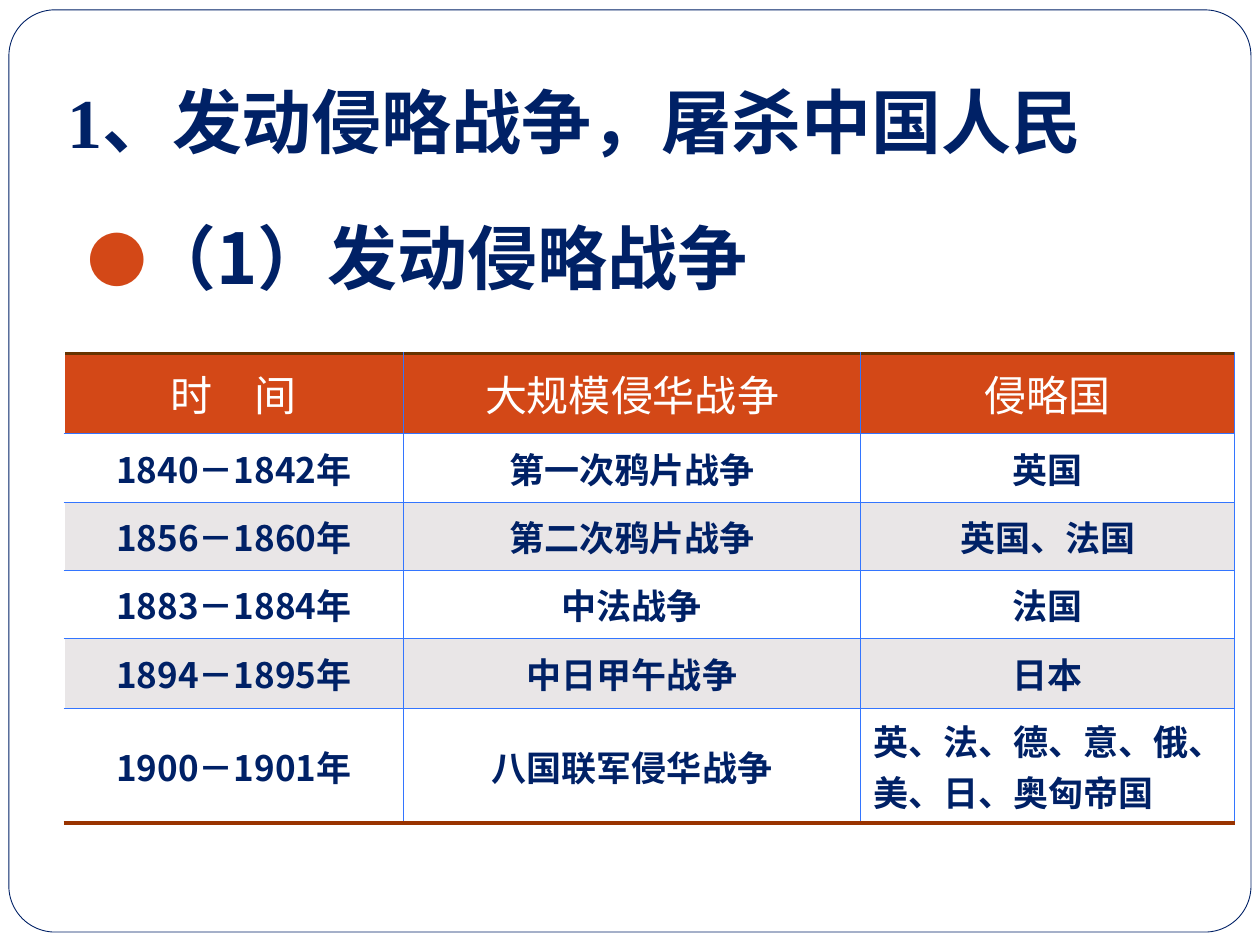
from lxml.etree import SubElement
from pptx import Presentation
from pptx.dml.color import RGBColor
from pptx.enum.shapes import MSO_SHAPE as Preset
from pptx.enum.text import MSO_ANCHOR as Anchor, MSO_AUTO_SIZE as AutoSize, PP_ALIGN as Align
from pptx.oxml.ns import qn
from pptx.util import Cm, Pt

NAVY = RGBColor(0x00, 0x21, 0x66)
WHITE = RGBColor(0xFF, 0xFF, 0xFF)
ORANGE = RGBColor(0xD3, 0x48, 0x17)
BAND = RGBColor(0xE9, 0xE6, 0xE7)
BLUE = RGBColor(0x33, 0x75, 0xFF)
BROWN = RGBColor(0x66, 0x33, 0x00)
RUST = RGBColor(0x99, 0x33, 0x00)

SANS = "Noto Sans CJK JP"
SERIF = "Times New Roman"
HEADING = {"size": Pt(40), "bold": True, "name": SERIF}
POINT = {"size": Pt(40), "bold": True, "name": SANS}
TABLE_HEAD = {"size": Pt(24), "bold": False, "name": SANS}
TABLE_BODY = {"size": Pt(20), "bold": True, "name": SANS}

WARS = [
    ("时　间", "大规模侵华战争", "侵略国"),
    ("1840－1842年", "第一次鸦片战争", "英国"),
    ("1856－1860年", "第二次鸦片战争", "英国、法国"),
    ("1883－1884年", "中法战争", "法国"),
    ("1894－1895年", "中日甲午战争", "日本"),
    ("1900－1901年", "八国联军侵华战争", "英、法、德、意、俄、美、日、奥匈帝国"),
]
COLUMN_WIDTHS = [6.83, 9.22, 7.54]
ROW_HEIGHTS = [1.6, 1.4, 1.37, 1.37, 1.42, 2.29]


def set_attributes(target, values):
    """Set each named attribute of an object."""
    for name, value in values.items():
        setattr(target, name, value)


def write_text(para, text, style, color, align):
    """Write one formatted span into a paragraph."""
    set_attributes(para, {"alignment": align, "space_before": Pt(0)})
    span = para.add_run()
    span.text = text
    set_attributes(span.font, style)
    span.font.color.rgb = color
    SubElement(span.font._element, qn("a:ea"), typeface=SANS)


def add_color(parent, color):
    """Add a solid colour to a line or bullet element."""
    SubElement(parent, qn("a:srgbClr"), val=str(color))


def add_bullet(para, char, color, percent, indent):
    """Give a paragraph a coloured bullet with a hanging indent."""
    para.space_before = Pt(0)
    props = para._p.get_or_add_pPr()
    props.set("marL", str(indent))
    props.set("indent", str(-indent))
    add_color(SubElement(props, qn("a:buClr")), color)
    SubElement(props, qn("a:buSzPct"), val=str(percent * 1000))
    SubElement(props, qn("a:buFont"), typeface=SANS)
    SubElement(props, qn("a:buChar"), char=char)


def add_border(cell, side, color, width):
    """Draw one edge of a table cell."""
    line = SubElement(cell._tc.get_or_add_tcPr(), qn(f"a:ln{side}"), w=str(Pt(width)))
    add_color(SubElement(line, qn("a:solidFill")), color)


def place(shape, box):
    """Move and size a shape to its box."""
    set_attributes(shape, dict(zip(("left", "top", "width", "height"), box)))


def add_frame(page, box):
    """Put the rounded page outline behind everything else."""
    frame = page.shapes.add_shape(Preset.ROUNDED_RECTANGLE, *box)
    frame.adjustments[0] = 0.05
    frame.shadow.inherit = False
    frame.fill.solid()
    frame.fill.fore_color.rgb = WHITE
    frame.line.color.rgb = NAVY
    frame.line.width = Pt(0.5)
    page.shapes._spTree.insert(2, frame._element)


def fill_title(page, box):
    """Format and fill the title placeholder."""
    title = page.shapes.title
    place(title, box)
    set_attributes(title.text_frame, {
        "auto_size": AutoSize.NONE, "word_wrap": True,
        "vertical_anchor": Anchor.BOTTOM, "margin_bottom": Cm(0.25)})
    write_text(title.text_frame.paragraphs[0], "1、发动侵略战争，屠杀中国人民",
               HEADING, NAVY, Align.LEFT)


def fill_body(page, box):
    """Format and fill the bulleted body placeholder."""
    body = page.placeholders[1]
    place(body, box)
    set_attributes(body.text_frame, {
        "auto_size": AutoSize.NONE, "word_wrap": True,
        "vertical_anchor": Anchor.TOP, "margin_top": Cm(0.33)})
    para = body.text_frame.paragraphs[0]
    add_bullet(para, "●", ORANGE, 85, Cm(0.76))
    write_text(para, "（1）发动侵略战争", POINT, NAVY, Align.LEFT)


def add_war_table(page, box):
    """Add the table of wars with its borders and bands."""
    table = page.shapes.add_table(len(WARS), len(COLUMN_WIDTHS), *box).table
    table.horz_banding = False
    for column, width in zip(table.columns, COLUMN_WIDTHS):
        column.width = Cm(width)
    for row, height in zip(table.rows, ROW_HEIGHTS):
        row.height = Cm(height)
    last = len(WARS) - 1
    for r, war in enumerate(WARS):
        for c, text in enumerate(war):
            cell = table.cell(r, c)
            cell.vertical_anchor = Anchor.MIDDLE
            add_border(cell, "L", *((BLUE, 0.5) if c else (WHITE, 1)))
            add_border(cell, "R", BLUE, 0.5)
            add_border(cell, "T", *((BLUE, 0.5) if r else (BROWN, 2.25)))
            add_border(cell, "B", *((RUST, 2.25) if r == last else (BLUE, 0.5)))
            cell.fill.solid()
            cell.fill.fore_color.rgb = ORANGE if r == 0 else WHITE if r % 2 else BAND
            align = Align.LEFT if (r, c) == (last, 2) else Align.CENTER
            style, color = (TABLE_BODY, NAVY) if r else (TABLE_HEAD, WHITE)
            write_text(cell.text_frame.paragraphs[0], text, style, color, align)


def main():
    """Build the deck and save it."""
    deck = Presentation()
    set_attributes(deck, {"slide_width": Cm(25.4), "slide_height": Cm(19.05)})
    page = deck.slides.add_slide(deck.slide_layouts[1])
    add_frame(page, (Cm(0.18), Cm(0.2), Cm(25.04), Cm(18.59)))
    fill_title(page, (Cm(1.1), Cm(0.76), Cm(23.04), Cm(2.77)))
    fill_body(page, (Cm(1.5), Cm(4), Cm(22.63), Cm(2.51)))
    add_war_table(page, (Cm(1.3), Cm(7.13), Cm(sum(COLUMN_WIDTHS)), Cm(sum(ROW_HEIGHTS))))
    deck.save("out.pptx")


if __name__ == "__main__":
    main()
